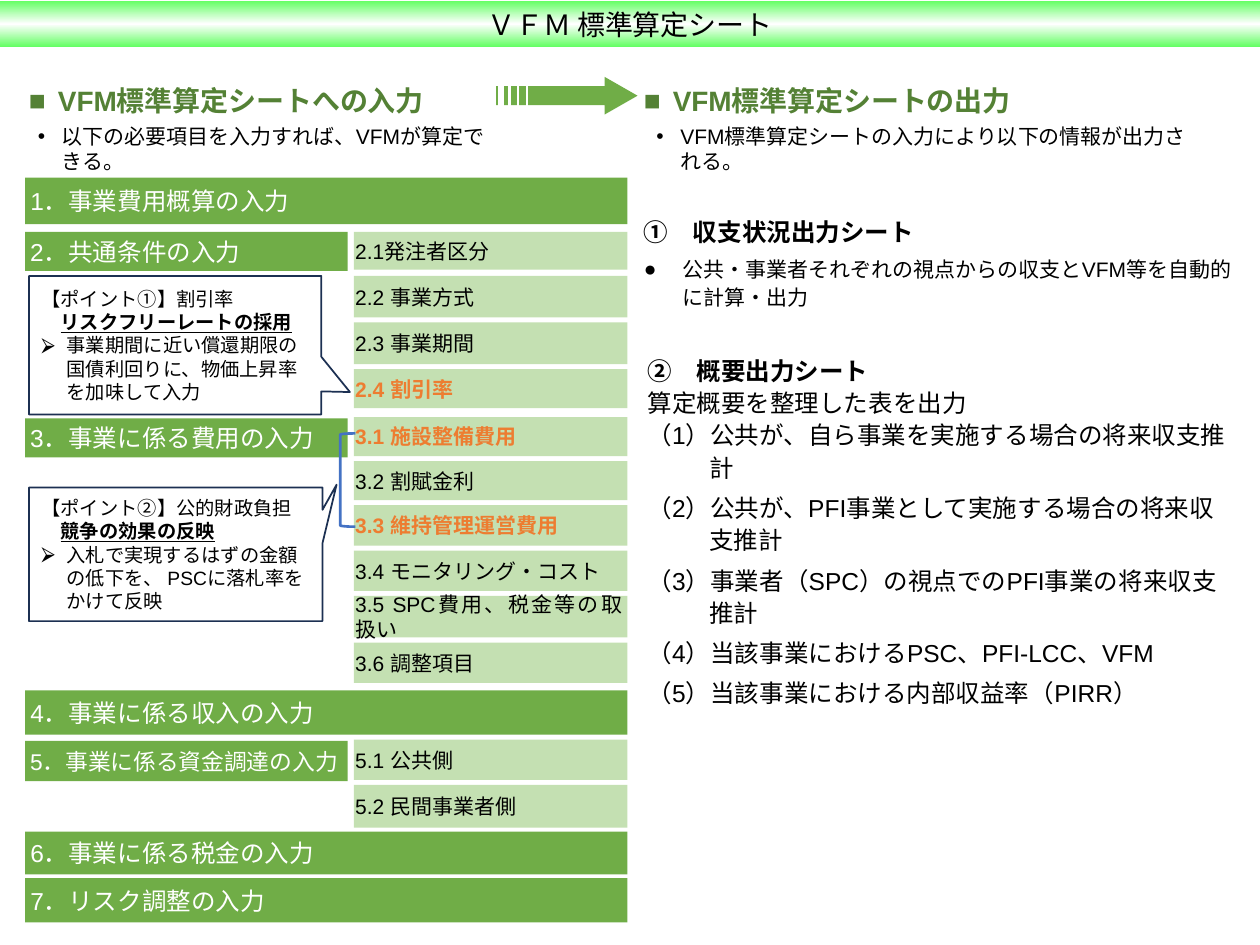
import copy

import pptx
import pptx.dml.color
import pptx.enum.shapes
import pptx.enum.text
import pptx.oxml.ns
import pptx.util
from lxml import etree
from pptx.util import Inches

SHAPES = pptx.enum.shapes.MSO_SHAPE
ALIGN = pptx.enum.text.PP_ALIGN
ANCHOR = pptx.enum.text.MSO_ANCHOR
qn = pptx.oxml.ns.qn

GREEN, PALE, DARK_GREEN = "70AD47", "C4E0B2", "548135"
ORANGE, BLACK, WHITE = "ED7D31", "000000", "FFFFFF"
LEFT, FULL_WIDTH, HALF_WIDTH = 0.2, 4.78, 2.56
ITEM_LEFT, ITEM_WIDTH = 2.81, 2.17
BAR_INSETS = (0.04, 0.05, 0.04, 0.05)
ITEM_INSETS = (0.01, 0.04, 0, 0.04)
TEXT_INSETS = (0.1, 0.05, 0.1, 0.05)

# top, height, width, text, size
BARS = [
    (1.41, 0.37, FULL_WIDTH, "1．事業費用概算の入力", 14),
    (1.84, 0.31, HALF_WIDTH, "2．共通条件の入力", 14),
    (3.32, 0.31, HALF_WIDTH, "3．事業に係る費用の入力", 14),
    (5.48, 0.35, FULL_WIDTH, "4．事業に係る収入の入力", 14),
    (5.88, 0.32, HALF_WIDTH, "5．事業に係る資金調達の入力", 13),
    (6.6, 0.34, FULL_WIDTH, "6．事業に係る税金の入力", 14),
    (6.97, 0.35, FULL_WIDTH, "7．リスク調整の入力", 14),
]
# top, height, text
ITEMS = [
    (1.84, 0.3, "2.1発注者区分"),
    (2.19, 0.33, "2.2 事業方式"),
    (2.56, 0.33, "2.3 事業期間"),
    (2.93, 0.31, "2.4 割引率"),
    (3.31, 0.31, "3.1 施設整備費用"),
    (3.66, 0.31, "3.2 割賦金利"),
    (4.01, 0.32, "3.3 維持管理運営費用"),
    (4.37, 0.32, "3.4 モニタリング・コスト"),
    (4.73, 0.33, "3.5 SPC費用、税金等の取扱い"),
    (5.1, 0.32, "3.6 調整項目"),
    (5.87, 0.32, "5.1 公共側"),
    (6.23, 0.34, "5.2 民間事業者側"),
]
KEY_ITEMS = ("2.4", "3.1", "3.3")
JUSTIFIED_ITEM = "3.5"
OUTPUTS = [
    "（1）公共が、自ら事業を実施する場合の将来収支推計",
    "（2）公共が、PFI事業として実施する場合の将来収支推計",
    "（3）事業者（SPC）の視点でのPFI事業の将来収支推計",
    "（4）当該事業におけるPSC、PFI-LCC、VFM",
    "（5）当該事業における内部収益率（PIRR）",
]


def rgb(value):
    return pptx.dml.color.RGBColor.from_string(value)


def add_span(para, text, size=12, color=BLACK, bold=False, underline=False):
    span = para.add_run()
    span.text = text
    font = span.font
    font.name, font.size = "Arial", pptx.util.Pt(size)
    font.bold, font.underline = bold, underline
    font.color.rgb = rgb(color)


def write(box, text, align=ALIGN.LEFT, spacing=1.0, before=0, indent=0,
          bullet=None, bullet_color=BLACK, **font):
    """Add one paragraph, using the empty first one if it is still free."""
    frame = box.text_frame
    para = frame.paragraphs[0]
    if para.runs:
        para = frame.add_paragraph()
    para.alignment, para.line_spacing = align, spacing
    para.space_before, para.space_after = pptx.util.Pt(before), pptx.util.Pt(0)
    properties = para._p.get_or_add_pPr()
    properties.set("marL", str(Inches(indent)))
    properties.set("indent", str(-Inches(indent)))
    if bullet:
        color = etree.SubElement(properties, qn("a:buClr"))
        etree.SubElement(color, qn("a:srgbClr"), val=bullet_color)
        etree.SubElement(properties, qn("a:buFont"), typeface="Arial")
        etree.SubElement(properties, qn("a:buChar"), char=bullet)
    add_span(para, text, **font)
    return para


def set_frame(box, insets=(0, 0, 0, 0), anchor=ANCHOR.TOP):
    frame = box.text_frame
    frame.word_wrap = True
    frame.auto_size = pptx.enum.text.MSO_AUTO_SIZE.NONE
    frame.vertical_anchor = anchor
    frame.margin_left, frame.margin_top, frame.margin_right, frame.margin_bottom = map(Inches, insets)


def place(box, left, top, width, height):
    box.left, box.top, box.width, box.height = map(Inches, (left, top, width, height))


def add_shape(page, kind, bounds, fill=None, line=None, line_width=1, insets=(0, 0, 0, 0)):
    shape = page.shapes.add_shape(kind, *map(Inches, bounds))
    shape.shadow.inherit = False
    if fill:
        shape.fill.solid()
        shape.fill.fore_color.rgb = rgb(fill)
    else:
        shape.fill.background()
    if line:
        shape.line.color.rgb = rgb(line)
        shape.line.width = pptx.util.Pt(line_width)
    else:
        shape.line.fill.background()
    set_frame(shape, insets, ANCHOR.MIDDLE)
    return shape


def add_text_box(page, *bounds):
    box = page.shapes.add_textbox(*map(Inches, bounds))
    set_frame(box)
    return box


def add_line(page, x, top, bottom, color, width):
    line = page.shapes.add_connector(pptx.enum.shapes.MSO_CONNECTOR.STRAIGHT,
                                     *map(Inches, (x, top, x, bottom)))
    line.line.color.rgb = rgb(color)
    line.line.width = pptx.util.Pt(width)
    etree.SubElement(line._element.spPr, qn("a:effectLst"))


def fill_title(title):
    place(title, 0, 0.01, 10, 0.36)
    set_frame(title, (0.09, 0.05, 0.09, 0.05))
    title.fill.gradient()
    title.fill.gradient_angle = 90
    stop_list = title._element.spPr.find(qn("a:gradFill")).find(qn("a:gsLst"))
    stop_list.append(copy.deepcopy(stop_list[0]))
    colors = ("66FF66", WHITE, "66FF66")
    for stop, position, color in zip(title.fill.gradient_stops, (0, 0.5, 1), colors):
        stop.position = position
        stop.color.rgb = rgb(color)
    write(title, "ＶＦＭ 標準算定シート", align=ALIGN.CENTER, size=16)


def fill_column(heading, body, heading_left, body_left, body_width, heading_text, body_text):
    place(heading, heading_left, 0.64, 3.57, 0.27)
    set_frame(heading)
    write(heading, heading_text, spacing=1.1, indent=0.23, bullet="■",
          bullet_color=DARK_GREEN, size=16, color=DARK_GREEN, bold=True)
    place(body, body_left, 0.93, body_width, 0.3)
    set_frame(body, TEXT_INSETS)
    write(body, body_text, indent=0.19, bullet="•")


def add_callout(page, bounds, pointer, heading, emphasis, detail):
    callout = add_shape(page, SHAPES.RECTANGULAR_CALLOUT, bounds, WHITE, "1C3052", insets=TEXT_INSETS)
    callout.adjustments[0], callout.adjustments[1] = pointer
    para = write(callout, heading, size=11)
    para.add_line_break()
    add_span(para, "　", size=11)
    add_span(para, emphasis, size=11, bold=True, underline=True)
    write(callout, detail, indent=0.2, bullet="⮚", size=11)


def add_striped_arrow(page):
    arrow = add_shape(page, SHAPES.RIGHT_ARROW, (3.81, 0.61, 1.25, 0.3), GREEN)
    arrow.adjustments[1] = 0.874
    for index, width in enumerate((4.5, 4.5, 3, 2.25, 1.5, 1)):
        add_line(page, 3.84 + 0.068 * index, 0.68, 0.88, WHITE, width)


def add_input_steps(page):
    for top, height, width, text, size in BARS:
        bar = add_shape(page, SHAPES.RECTANGLE, (LEFT, top, width, height), GREEN, insets=BAR_INSETS)
        if size == 13:
            bar.text_frame.margin_right = 0
        write(bar, text, size=size, color=WHITE)
    for top, height, text in ITEMS:
        item = add_shape(page, SHAPES.RECTANGLE, (ITEM_LEFT, top, ITEM_WIDTH, height),
                         PALE, insets=ITEM_INSETS)
        key = text.startswith(KEY_ITEMS)
        justified = text.startswith(JUSTIFIED_ITEM)
        if justified:
            item.text_frame.margin_right = Inches(0.04)
        write(item, text, align=ALIGN.JUSTIFY if justified else ALIGN.LEFT,
              color=ORANGE if key else BLACK, bold=key)


def add_outputs(page):
    balance = add_text_box(page, 5.11, 1.7, 4.69, 0.77)
    write(balance, "①　収支状況出力シート", spacing=1.1, size=14, bold=True)
    write(balance, "公共・事業者それぞれの視点からの収支とVFM等を自動的に計算・出力",
          spacing=1.1, before=4.5, indent=0.31, bullet="●")
    summary = add_text_box(page, 5.14, 2.8, 4.69, 3.2)
    write(summary, "②　概要出力シート", spacing=1.1, size=14, bold=True)
    write(summary, "算定概要を整理した表を出力", spacing=1.1, size=14)
    for index, text in enumerate(OUTPUTS):
        write(summary, text, spacing=1.1, before=4.5 if index else 0,
              indent=0.49 if index < 3 else 0, size=14)


def main():
    deck = pptx.Presentation()
    deck.slide_width, deck.slide_height = Inches(10), Inches(7.5)
    page = deck.slides.add_slide(deck.slide_layouts[4])

    # Title and the heads of the two columns
    title, input_head, input_body, output_head, output_body = page.placeholders
    fill_title(title)
    fill_column(input_head, input_body, 0.23, 0.2, 3.88, "VFM標準算定シートへの入力",
                "以下の必要項目を入力すれば、VFMが算定できる。")
    fill_column(output_head, output_body, 5.11, 5.11, 4.43, "VFM標準算定シートの出力",
                "VFM標準算定シートの入力により以下の情報が出力される。")

    # Input steps, explained by callouts
    add_input_steps(page)
    add_callout(page, (0.23, 2.19, 2.32, 1.1), (0.598, 0.338), "【ポイント①】割引率",
                "リスクフリーレートの採用", "事業期間に近い償還期限の国債利回りに、物価上昇率を加味して入力")
    add_callout(page, (0.23, 3.87, 2.33, 1.06), (0.548, -0.522), "【ポイント②】公的財政負担",
                "競争の効果の反映", "入札で実現するはずの金額の低下を、 PSCに落札率をかけて反映")
    bracket = add_shape(page, SHAPES.LEFT_BRACKET, (2.7, 3.44, 0.12, 0.74), line="4472C4", line_width=1.5)
    bracket.adjustments[0] = 0.083

    # Output side
    add_striped_arrow(page)
    add_outputs(page)
    deck.save("out.pptx")


if __name__ == "__main__":
    main()
